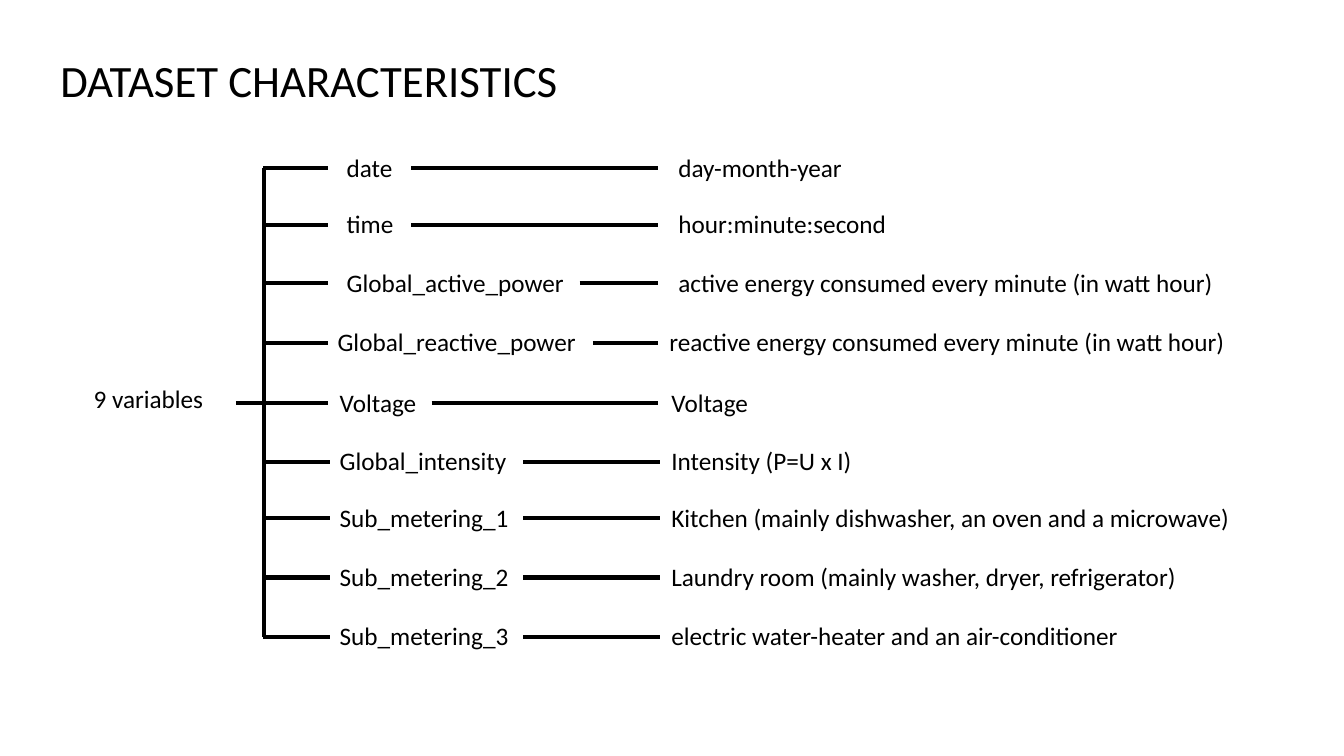
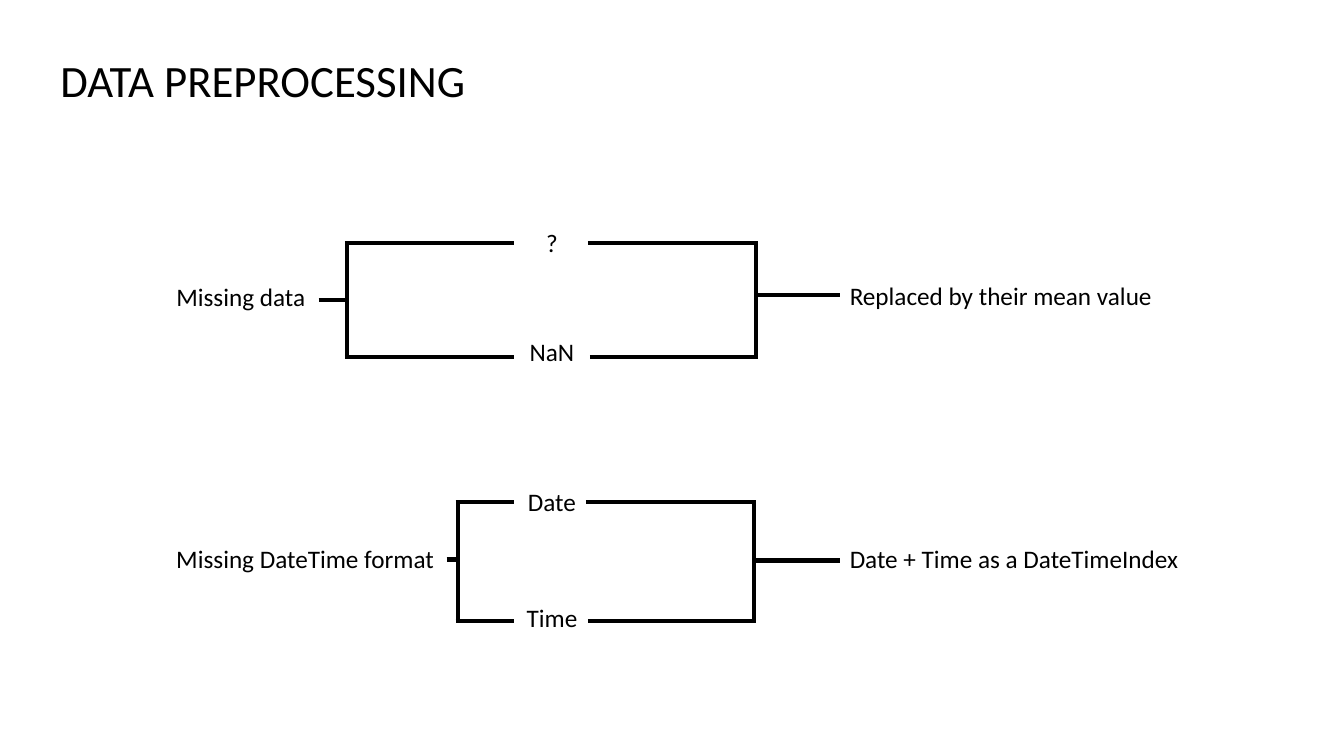
from lxml import etree
from pptx import Presentation
from pptx.dml.color import RGBColor
from pptx.enum.shapes import MSO_CONNECTOR
from pptx.enum.text import MSO_AUTO_SIZE, PP_ALIGN
from pptx.oxml.ns import qn
from pptx.util import Inches, Pt

STRAIGHT = MSO_CONNECTOR.STRAIGHT
FIT_SHAPE = MSO_AUTO_SIZE.SHAPE_TO_FIT_TEXT
LEFT, CENTER = PP_ALIGN.LEFT, PP_ALIGN.CENTER

COLORS = {"text": "000000", "line": "000000"}
FONT = "Calibri"
LINE_WIDTH = 3
CORNER = 0.02
LABEL_RISE = 0.21


def add_text(slide, text, left, top, width, height=0.4, size=18, align=LEFT):
    shape = slide.shapes.add_textbox(Inches(left), Inches(top), Inches(width), Inches(height))
    frame = shape.text_frame
    frame.word_wrap = True
    frame.auto_size = FIT_SHAPE
    paragraph = frame.paragraphs[0]
    paragraph.alignment = align
    run = paragraph.add_run()
    run.text = text
    run.font.name = FONT
    run.font.size = Pt(size)
    run.font.color.rgb = RGBColor.from_string(COLORS["text"])


def add_line(slide, start_x, start_y, end_x, end_y):
    connector = slide.shapes.add_connector(
        STRAIGHT, Inches(start_x), Inches(start_y), Inches(end_x), Inches(end_y)
    )
    connector.line.width = Pt(LINE_WIDTH)
    connector.line.color.rgb = RGBColor.from_string(COLORS["line"])
    etree.SubElement(connector._element.spPr, qn("a:effectLst"))


presentation = Presentation()
presentation.slide_width = Inches(13.33)
presentation.slide_height = Inches(7.5)

slides = []
for title, width in [("DATASET CHARACTERISTICS", 5.5), ("DATA PREPROCESSING", 4.35)]:
    slide = presentation.slides.add_slide(presentation.slide_layouts[6])
    add_text(slide, title, 0.5, 0.47, width, height=0.64, size=32)
    slides.append(slide)
characteristics, preprocessing = slides

VARIABLES = [
    ("date", "day-month-year", 1.67, 3.34, 4.08),
    ("time", "hour:minute:second", 2.23, 3.34, 4.08),
    ("Global_active_power", "active energy consumed every minute (in watt hour)", 2.81, 3.34, 5.75),
    ("Global_reactive_power", "reactive energy consumed every minute (in watt hour)", 3.4, 3.25, 5.88),
    ("Voltage", "Voltage", 4, 3.27, 4.28),
    ("Global_intensity", "Intensity (P=U x I)", 4.58, 3.27, 5.19),
    ("Sub_metering_1", "Kitchen (mainly dishwasher, an oven and a microwave)", 5.14, 3.27, 5.19),
    ("Sub_metering_2", "Laundry room (mainly washer, dryer, refrigerator)", 5.73, 3.27, 5.19),
    ("Sub_metering_3", "electric water-heater and an air-conditioner", 6.32, 3.27, 5.19),
]
TRUNK_X = 2.62
TRUNK_Y = 4
DESCRIPTION_OFFSET = 3.29

add_text(characteristics, "9 variables", 0.83, 3.75, 1.51)
add_line(characteristics, 2.34, TRUNK_Y, TRUNK_X, TRUNK_Y)
add_line(characteristics, TRUNK_X, VARIABLES[0][2], TRUNK_X, VARIABLES[-1][2])
for name, description, y, name_left, link_left in VARIABLES:
    branch_right = 3.25 if y <= TRUNK_Y else 3.27
    add_line(characteristics, TRUNK_X - 0.01, y, branch_right, y)
    add_text(characteristics, name, name_left, y - LABEL_RISE, 2.61)
    add_line(characteristics, link_left, y, branch_right + 3.28, y)
    add_text(characteristics, description, name_left + DESCRIPTION_OFFSET, y - LABEL_RISE, 5.85)

PROBLEMS = [
    {
        "problem": "Missing data", "problem_top": 2.74, "problem_width": 1.51,
        "solution": "Replaced by their mean value", "solution_top": 2.73,
        "cases": [("?", 2.21, 2.41, 5.83), ("NaN", 3.29, 3.54, 5.85)],
        "stem": (3.16, 2.98), "left": 3.44, "right": 7.5, "exit_y": 2.93,
    },
    {
        "problem": "Missing DateTime format", "problem_top": 5.34, "problem_width": 2.84,
        "solution": "Date + Time as a DateTimeIndex", "solution_top": 5.34,
        "cases": [("Date", 4.78, 4.98, 5.81), ("Time", 5.93, 6.16, 5.83)],
        "stem": (4.43, 5.55), "left": 4.54, "right": 7.48, "exit_y": 5.56,
    },
]
CASE_LEFT = 5.11
SOLUTION_LEFT = 8.33

for item in PROBLEMS:
    left, right = item["left"], item["right"]
    stem_x, stem_y = item["stem"]
    top, bottom = [case[2] for case in item["cases"]]
    add_text(preprocessing, item["problem"], 1.65, item["problem_top"], item["problem_width"])
    add_text(preprocessing, item["solution"], SOLUTION_LEFT, item["solution_top"], 3.7)
    add_line(preprocessing, stem_x, stem_y, left, stem_y)
    for x in (left, right):
        add_line(preprocessing, x, top, x, bottom)
    for case, case_top, y, case_right in item["cases"]:
        add_text(preprocessing, case, CASE_LEFT, case_top, 0.73, align=CENTER)
        add_line(preprocessing, left - CORNER, y, CASE_LEFT - 0.01, y)
        add_line(preprocessing, case_right, y, right + CORNER, y)
    add_line(preprocessing, right, item["exit_y"], SOLUTION_LEFT, item["exit_y"])

presentation.save("out.pptx")
